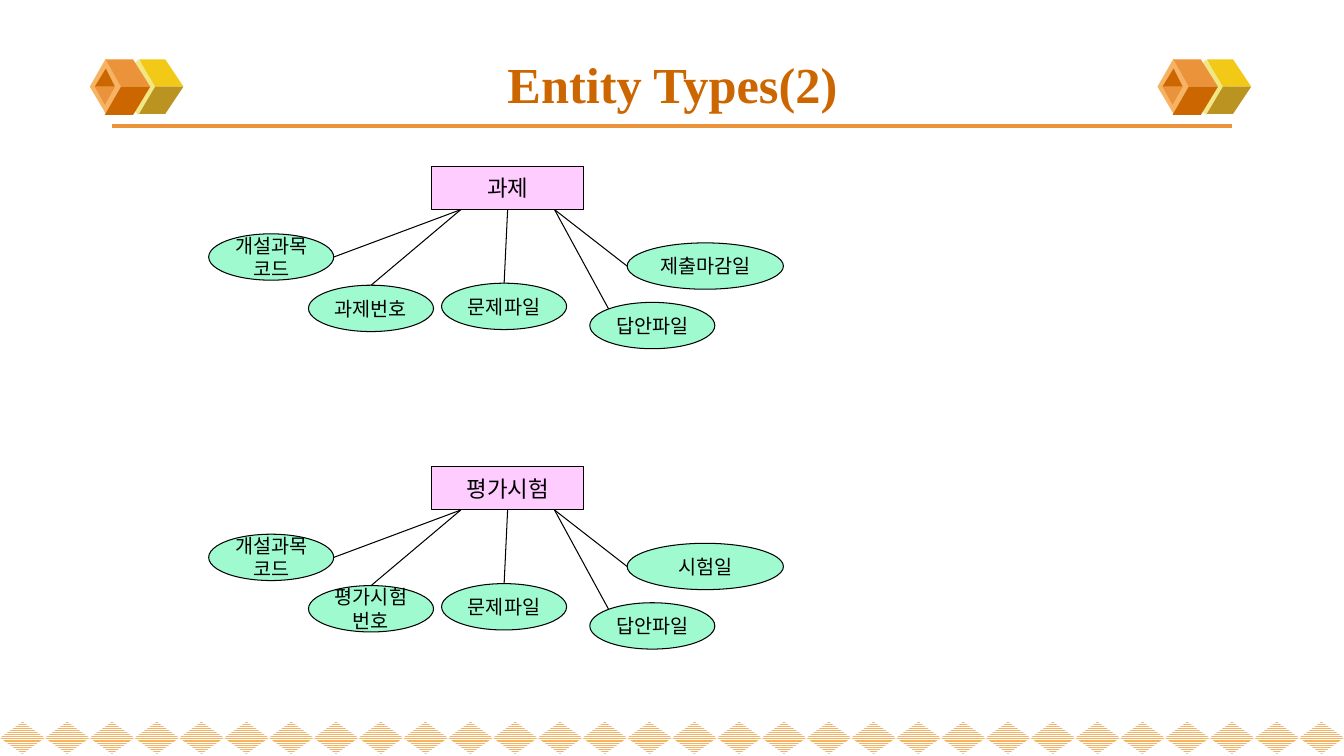
from lxml.etree import SubElement
from pptx import Presentation
from pptx.dml.color import RGBColor
from pptx.enum.dml import MSO_PATTERN
from pptx.enum.shapes import MSO_CONNECTOR, MSO_SHAPE
from pptx.enum.text import MSO_ANCHOR, PP_ALIGN
from pptx.oxml.ns import qn
from pptx.util import Inches, Pt

TITLE = "Entity Types(2)"
KOREAN = "Noto Sans CJK KR"
BLACK, PINK, MINT = "000000", "FFCCFF", "A0FACF"
ORANGE, DARK, PALE = "EB933B", "CC6600", "F5B363"

# Entity name, top of its box, attribute names in the order of OVALS
ENTITIES = [
    ("과제", 1.65, ["과제번호", "문제파일", "답안파일", "제출마감일", "개설과목코드"]),
    ("평가시험", 4.63, ["평가시험번호", "문제파일", "답안파일", "시험일", "개설과목코드"]),
]
BOX_LEFT, BOX_W, BOX_H = 4.28, 1.51, 0.43
OVAL_H = 0.46
# Left, drop below the box top, width, where the line leaves the box, where it meets the oval
OVALS = [
    (3.06, 1.18, 1.24, 4.57, "top"),
    (4.38, 1.16, 1.24, None, "top"),
    (5.85, 1.35, 1.24, 5.5, "corner"),
    (6.22, 0.76, 1.55, 5.5, "left"),
    (2.07, 0.67, 1.24, 4.57, "right"),
]

# Two-cube ornament: (colour, points) from back to front
CUBES_X = [0.89, 11.48]
CUBES = [
    ("F1E785", [(0.26, 0.86), (0.48, 0.59), (0.7, 0.86), (0.48, 1.14)]),
    ("F3C917", [(0.65, 0.86), (0.93, 0.86), (0.75, 0.59), (0.49, 0.59)]),
    ("BB9321", [(0.65, 0.86), (0.93, 0.86), (0.75, 1.13), (0.49, 1.13)]),
    (PALE, [(0, 0.86), (0.16, 0.58), (0.31, 0.86), (0.16, 1.13)]),
    (ORANGE, [(0.31, 0.86), (0.6, 0.86), (0.43, 0.59), (0.16, 0.59)]),
    (DARK, [(0.31, 0.86), (0.6, 0.86), (0.43, 1.14), (0.15, 1.14)]),
    (DARK, [(0.16, 0.68), (0.05, 0.86), (0.25, 0.86)]),
    (ORANGE, [(0.15, 1.04), (0.05, 0.86), (0.25, 0.86)]),
]
DIAMONDS = 30


def rgb(color):
    return RGBColor.from_string(color)


def add_text(tf, text, font, size, color, bold=False):
    p = tf.paragraphs[0]
    p.alignment = PP_ALIGN.CENTER
    r = p.add_run()
    r.text = text
    r.font.name, r.font.size, r.font.bold = font, Pt(size), bold
    r.font.color.rgb = rgb(color)
    if font == KOREAN:
        SubElement(r.font._element, qn("a:ea")).set("typeface", font)
    tf.vertical_anchor = MSO_ANCHOR.MIDDLE


def add_node(s, kind, x, y, w, h, fill, text, size):
    """Add a filled, outlined and labelled shape of the diagram."""
    sp = s.shapes.add_shape(kind, Inches(x), Inches(y), Inches(w), Inches(h))
    sp.shadow.inherit = False
    sp.fill.solid()
    sp.fill.fore_color.rgb = rgb(fill)
    sp.line.color.rgb = rgb(BLACK)
    sp.line.width = Pt(0.75)
    tf = sp.text_frame
    tf.word_wrap = True
    tf.margin_left = tf.margin_right = tf.margin_top = tf.margin_bottom = Inches(0.04)
    add_text(tf, text, KOREAN, size, BLACK)
    return sp


def add_line(s, start, end, color=BLACK, width=0.75):
    ends = [Inches(v) for v in (*start, *end)]
    line = s.shapes.add_connector(MSO_CONNECTOR.STRAIGHT, *ends)
    line.line.color.rgb = rgb(color)
    line.line.width = Pt(width)
    SubElement(line._element.spPr, qn("a:effectLst"))
    return line


def add_cubes(s, left):
    for color, points in CUBES:
        pts = [(Inches(left + x), Inches(y)) for x, y in points]
        builder = s.shapes.build_freeform(*pts[0])
        builder.add_line_segments(pts[1:])
        sp = builder.convert_to_shape()
        sp.shadow.inherit = False
        sp.fill.solid()
        sp.fill.fore_color.rgb = rgb(color)
        sp.line.fill.background()


def add_diamond_border(s, slide_w):
    step = slide_w / DIAMONDS
    for i in range(DIAMONDS):
        sp = s.shapes.add_shape(MSO_SHAPE.DIAMOND, int(i * step), Inches(7.16),
                                int(step), Inches(0.32))
        sp.shadow.inherit = False
        sp.fill.patterned()
        sp.fill.pattern = MSO_PATTERN.NARROW_HORIZONTAL
        sp.fill.fore_color.rgb = rgb(PALE)
        sp.fill.back_color.rgb = rgb("FFFFFF")
        sp.line.fill.background()


def add_entity(s, name, top, attributes):
    box = add_node(s, MSO_SHAPE.RECTANGLE, BOX_LEFT, top, BOX_W, BOX_H, PINK, name, 16)
    for text, (x, drop, w, leave, side) in zip(attributes, OVALS):
        y = top + drop
        oval = add_node(s, MSO_SHAPE.OVAL, x, y, w, OVAL_H, MINT, text, 14)
        meet = {
            "top": (x + w / 2, y),
            "left": (x, y + OVAL_H / 2),
            "right": (x + w, y + OVAL_H / 2),
            "corner": (x + w * 0.15, y + OVAL_H * 0.14),
        }[side]
        line = add_line(s, (leave or BOX_LEFT + BOX_W / 2, top + BOX_H), meet)
        if leave is None:
            line.begin_connect(box, 2)
        if side == "top":
            line.end_connect(oval, 0)


def main():
    prs = Presentation()
    prs.slide_width, prs.slide_height = Inches(13.33), Inches(7.5)
    s = prs.slides.add_slide(prs.slide_layouts[5])

    add_diamond_border(s, prs.slide_width)
    add_line(s, (1.11, 1.25), (12.22, 1.25), ORANGE, 2.25)
    for left in CUBES_X:
        add_cubes(s, left)

    title = s.shapes.title
    title.left, title.top = Inches(0.67), Inches(0.45)
    title.width, title.height = Inches(12), Inches(0.76)
    add_text(title.text_frame, TITLE, "Times New Roman", 36, DARK, bold=True)

    for entity in ENTITIES:
        add_entity(s, *entity)
    prs.save("out.pptx")


if __name__ == "__main__":
    main()
